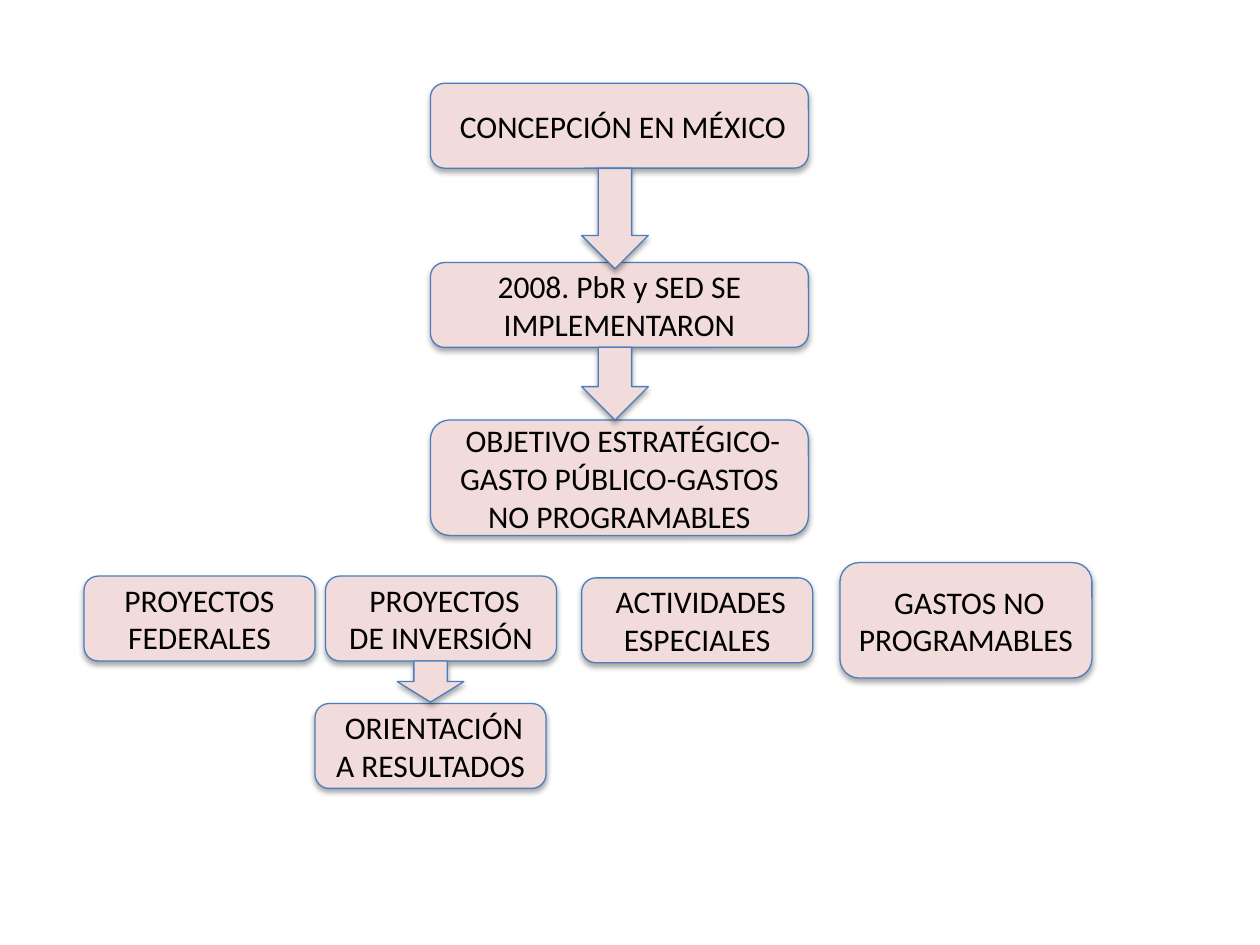
from dataclasses import dataclass

from lxml.etree import SubElement
from pptx import Presentation
from pptx.dml.color import RGBColor
from pptx.enum.shapes import MSO_SHAPE as Preset
from pptx.enum.text import MSO_ANCHOR as Anchor, PP_ALIGN as Align
from pptx.oxml.ns import qn
from pptx.util import Pt


@dataclass(frozen=True)
class Theme:
    fill: str = "F2DCDB"
    outline: str = "4B7EBC"
    ink: str = "000000"
    shadow: str = "000000"
    font: str = "Calibri"
    text_size: float = 18
    outline_width: float = 0.75
    shadow_blur: float = 3.15
    shadow_distance: float = 1.8


class FlowSlide:
    """Draws the boxes and arrows of a flow chart in one style."""

    def __init__(self, slide, theme):
        self.slide = slide
        self.theme = theme

    def block(self, preset, left, top, width, height):
        theme = self.theme
        block = self.slide.shapes.add_shape(
            preset, Pt(left), Pt(top), Pt(width), Pt(height))
        block.fill.solid()
        block.fill.fore_color.rgb = RGBColor.from_string(theme.fill)
        block.line.color.rgb = RGBColor.from_string(theme.outline)
        block.line.width = Pt(theme.outline_width)
        self.cast_shadow(block)
        return block

    def cast_shadow(self, block):
        theme = self.theme
        block.shadow.inherit = False
        effects = block._element.spPr.find(qn("a:effectLst"))
        shadow = SubElement(
            effects, qn("a:outerShdw"), blurRad=str(Pt(theme.shadow_blur)),
            dist=str(Pt(theme.shadow_distance)), dir="5400000", rotWithShape="0")
        tint = SubElement(shadow, qn("a:srgbClr"), val=theme.shadow)
        SubElement(tint, qn("a:alpha"), val="35000")

    def box(self, wording, left, top, width, height):
        theme = self.theme
        frame = self.block(Preset.ROUNDED_RECTANGLE, left, top, width, height).text_frame
        frame.word_wrap = True
        frame.vertical_anchor = Anchor.MIDDLE
        frame.text = wording
        for paragraph in frame.paragraphs:
            paragraph.alignment = Align.CENTER
            for run in paragraph.runs:
                run.font.name = theme.font
                run.font.size = Pt(theme.text_size)
                run.font.color.rgb = RGBColor.from_string(theme.ink)

    def arrow(self, left, top, height):
        self.block(Preset.DOWN_ARROW, left, top, 38.1, height)


def main():
    deck = Presentation()
    deck.slide_width, deck.slide_height = Pt(720), Pt(540)
    blank_layout = deck.slide_layouts[6]
    flow = FlowSlide(deck.slides.add_slide(blank_layout), Theme())

    low, tall = 48.5, 66
    stages = [
        (" CONCEPCIÓN EN MÉXICO", 47.6, low),
        ("2008. PbR y SED SE IMPLEMENTARON", 150, low),
        (" OBJETIVO ESTRATÉGICO-GASTO PÚBLICO-GASTOS NO PROGRAMABLES", 240, tall),
    ]
    for wording, top, height in stages:
        flow.box(wording, 246, top, 216, height)

    branch_width = 132
    branches = [
        (" PROYECTOS \nFEDERALES", 48, 329.2, branch_width, low),
        (" PROYECTOS DE INVERSIÓN", 186, 329.2, branch_width, low),
        (" ACTIVIDADES ESPECIALES", 332.4, 330.2, branch_width, low),
        (" GASTOS NO PROGRAMABLES", 480, 321.5, 144, tall),
        (" ORIENTACIÓN A RESULTADOS", 180, 402, branch_width, low),
    ]
    for branch in branches:
        flow.box(*branch)

    for left, top, height in [(332.4, 96.2, 57.4), (332.4, 198.5, 41.5), (227, 377.8, 23.4)]:
        flow.arrow(left, top, height)

    deck.save("out.pptx")


if __name__ == "__main__":
    main()
